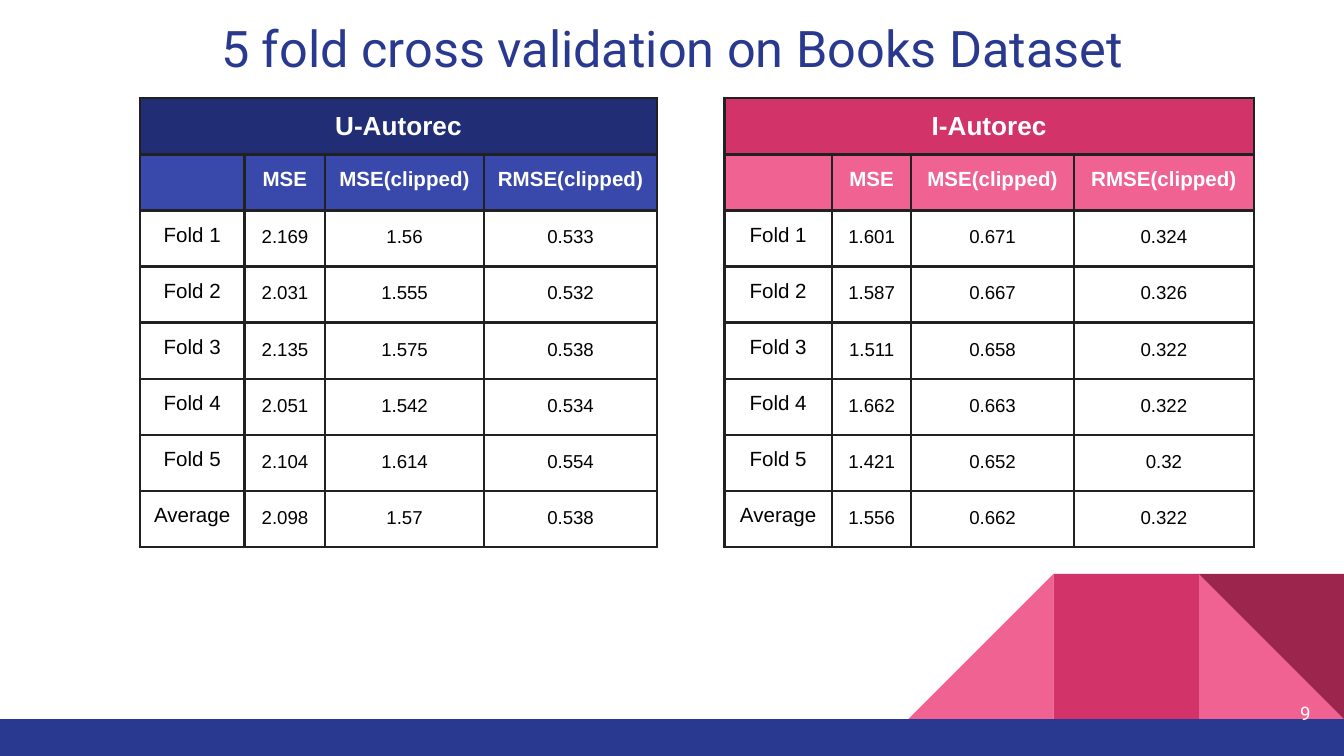
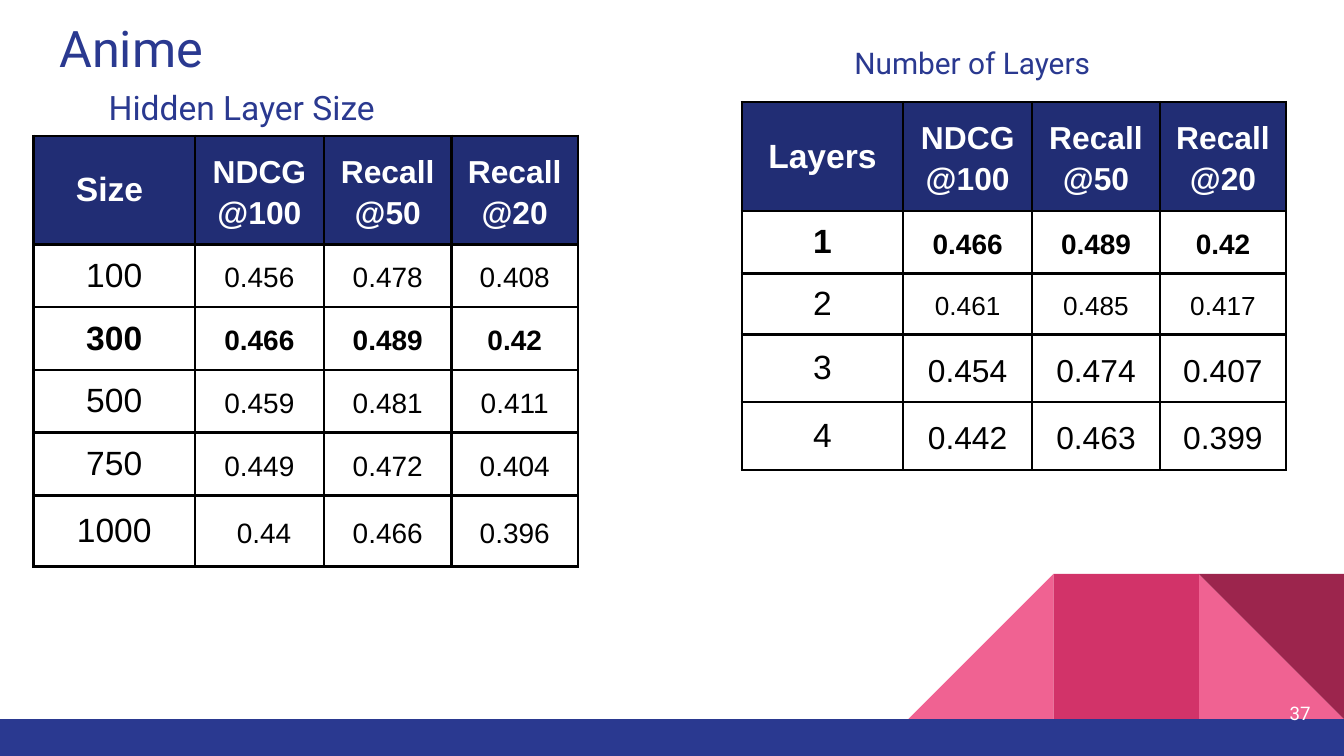
"""Build two result slides with cross validation and hyperparameter tables."""
from lxml import etree
from pptx import Presentation
from pptx.dml.color import RGBColor
from pptx.enum.shapes import MSO_SHAPE
from pptx.enum.text import MSO_ANCHOR, MSO_AUTO_SIZE, PP_ALIGN
from pptx.oxml.ns import qn
from pptx.util import Inches, Pt

TRIANGLE, RECTANGLE = MSO_SHAPE.RIGHT_TRIANGLE, MSO_SHAPE.RECTANGLE
TOP, MIDDLE = MSO_ANCHOR.TOP, MSO_ANCHOR.MIDDLE
LEFT, CENTER, RIGHT = PP_ALIGN.LEFT, PP_ALIGN.CENTER, PP_ALIGN.RIGHT
NO_AUTOFIT = MSO_AUTO_SIZE.NONE

COLORS = {
    "blue": "2A3990", "navy": "212D74", "indigo": "3949AB",
    "pink": "F06292", "rose": "D23369", "wine": "9C254D",
    "white": "FFFFFF", "black": "000000", "charcoal": "212121",
}
TITLE_FONT, TABLE_FONT = "Roboto", "Arial"
TITLE_AREA = (0.34, 0.03, 9.32, 0.66)
TITLE_ONLY = 5

FOLD_HEADINGS = ["", "MSE", "MSE(clipped)", "RMSE(clipped)"]
FOLD_LABELS = [f"Fold {number}" for number in range(1, 6)] + ["Average"]
USER_SCORES = [
    ["2.169", "1.56", "0.533"],
    ["2.031", "1.555", "0.532"],
    ["2.135", "1.575", "0.538"],
    ["2.051", "1.542", "0.534"],
    ["2.104", "1.614", "0.554"],
    ["2.098", "1.57", "0.538"],
]
ITEM_SCORES = [
    ["1.601", "0.671", "0.324"],
    ["1.587", "0.667", "0.326"],
    ["1.511", "0.658", "0.322"],
    ["1.662", "0.663", "0.322"],
    ["1.421", "0.652", "0.32"],
    ["1.556", "0.662", "0.322"],
]

RANKING_HEADINGS = ["NDCG@100", "Recall@50", "Recall@20"]
RANKING_COLUMNS = [1.2, 0.96, 0.95, 0.94]
SIZE_ROWS = [
    ["Size", *RANKING_HEADINGS],
    ["100", "0.456", "0.478", "0.408"],
    ["300", "0.466", "0.489", "0.42"],
    ["500", "0.459", "0.481", "0.411"],
    ["750", "0.449", "0.472", "0.404"],
    ["1000", "0.44", "0.466", "0.396"],
]
LAYER_ROWS = [
    ["Layers", *RANKING_HEADINGS],
    ["1", "0.466", "0.489", "0.42"],
    ["2", "0.461", "0.485", "0.417"],
    ["3", "0.454", "0.474", "0.407"],
    ["4", "0.442", "0.463", "0.399"],
]


def color(name):
    return RGBColor.from_string(COLORS[name])


def write(frame, text, size, font=TITLE_FONT, ink="blue", bold=False,
          align=LEFT, spacing=None):
    para = frame.paragraphs[0]
    para.alignment = align
    if spacing:
        para.line_spacing = spacing
    if not text:
        end = etree.SubElement(para._p, qn("a:endParaRPr"))
        end.set("sz", str(size * 100))
        return
    span = para.add_run()
    span.text = text
    span.font.size = Pt(size)
    span.font.name = font
    span.font.bold = bold
    span.font.color.rgb = color(ink)


def set_margins(item, left, top, right, bottom):
    item.margin_left, item.margin_top = Inches(left), Inches(top)
    item.margin_right, item.margin_bottom = Inches(right), Inches(bottom)


def set_borders(cell, ink):
    properties = cell._tc.get_or_add_tcPr()
    for side in ("lnL", "lnR", "lnT", "lnB"):
        line = etree.SubElement(properties, qn(f"a:{side}"), w=str(Pt(1.5)))
        fill = etree.SubElement(line, qn("a:solidFill"))
        etree.SubElement(fill, qn("a:srgbClr"), val=COLORS[ink])


def fold_style(header, subheader):
    def style(row, column):
        if row == 0:
            return {"size": 14, "bold": True, "ink": "white", "fill": header}
        if row == 1:
            return {"size": 11, "bold": True, "ink": "white", "fill": subheader}
        if column == 0:
            return {"size": 11}
        return {"size": 10, "spacing": 1.15}
    return style


def ranking_style(best_row, value_sizes, nudges):
    def style(row, column):
        label = column == 0
        inset = 0.07 if label else 0.1
        left, right = nudges.get((row, column), (0, 0))
        look = {
            "size": 18 if label else value_sizes[row],
            "bold": row in (0, best_row),
            "spacing": None if label else 1.15,
            "anchor": MIDDLE,
            "margins": (inset + left, inset, inset + right, inset),
        }
        if row == 0:
            look.update(ink="white", fill="navy")
        return look
    return style


class SlideBuilder:
    def __init__(self):
        self.deck = Presentation()
        self.deck.slide_width = Inches(10)
        self.deck.slide_height = Inches(5.625)
        self.page = None

    def start(self, title, number, align):
        self.page = self.deck.slides.add_slide(
            self.deck.slide_layouts[TITLE_ONLY])
        side, top = 1.08, 4.27
        first, second, third = (10 - side * count for count in (3, 2, 1))
        self.shape(TRIANGLE, third, top, side, side, "pink")
        corner = self.shape(TRIANGLE, first, top, side, side, "pink")
        corner._element.spPr.find(qn("a:xfrm")).set("flipH", "1")
        self.shape(RECTANGLE, second, top, side, side, "rose")
        self.shape(TRIANGLE, third, top, side, side, "wine").rotation = 180
        self.shape(RECTANGLE, 0, 5.35, 10, 0.28, "blue")
        self.title(title, align)
        self.text(number, 9.25, 5.09, 0.6, 0.43, anchor=MIDDLE,
                  size=10, ink="white", align=RIGHT)

    def shape(self, kind, left, top, width, height, fill):
        shape = self.page.shapes.add_shape(
            kind, Inches(left), Inches(top), Inches(width), Inches(height))
        shape.shadow.inherit = False
        shape.fill.solid()
        shape.fill.fore_color.rgb = color(fill)
        shape.line.fill.background()
        return shape

    def fill_frame(self, box, text, anchor=TOP, **look):
        frame = box.text_frame
        frame.word_wrap = True
        frame.auto_size = NO_AUTOFIT
        frame.vertical_anchor = anchor
        set_margins(frame, 0.1, 0.1, 0.1, 0.1)
        write(frame, text, **look)

    def title(self, text, align):
        box = self.page.shapes.title
        box.left, box.top, box.width, box.height = map(Inches, TITLE_AREA)
        self.fill_frame(box, text, size=27, align=align)
        tree = self.page.shapes._spTree
        tree.remove(box._element)
        tree.append(box._element)

    def text(self, text, left, top, width, height, **look):
        box = self.page.shapes.add_textbox(
            Inches(left), Inches(top), Inches(width), Inches(height))
        self.fill_frame(box, text, **look)

    def table(self, left, top, columns, heights, rows, style, border):
        frame = self.page.shapes.add_table(
            len(rows), len(columns), Inches(left), Inches(top),
            Inches(sum(columns)), Inches(sum(heights)))
        table = frame.table
        table.first_row = table.horz_banding = False
        for column, width in zip(table.columns, columns):
            column.width = Inches(width)
        for row, height in zip(table.rows, heights):
            row.height = Inches(height)
        for row, texts in enumerate(rows):
            for column in range(len(columns)):
                text = texts[column] if column < len(texts) else ""
                self.cell(table.cell(row, column), text, border,
                          **style(row, column))
            if len(texts) == 1:
                table.cell(row, 0).merge(table.cell(row, len(columns) - 1))

    def cell(self, cell, text, border, fill=None, anchor=TOP,
             margins=(0.1, 0.1, 0.1, 0.1), ink="black", **look):
        set_borders(cell, border)
        if fill:
            cell.fill.solid()
            cell.fill.fore_color.rgb = color(fill)
        else:
            cell.fill.background()
        cell.vertical_anchor = anchor
        set_margins(cell, *margins)
        write(cell.text_frame, text, font=TABLE_FONT, ink=ink,
              align=CENTER, **look)

    def fold_table(self, name, left, columns, scores, header, subheader):
        rows = [[name], FOLD_HEADINGS]
        rows += [[label, *values] for label, values in zip(FOLD_LABELS, scores)]
        self.table(left, 0.73, columns, [3.34 / 8] * len(rows), rows,
                   fold_style(header, subheader), "charcoal")


def main():
    builder = SlideBuilder()

    builder.start("5 fold cross validation on Books Dataset", "9", CENTER)
    builder.fold_table("U-Autorec", 1.04, [0.78, 0.6, 1.18, 1.29],
                       USER_SCORES, "navy", "indigo")
    builder.fold_table("I-Autorec", 5.39, [0.8, 0.59, 1.21, 1.34],
                       ITEM_SCORES, "rose", "pink")

    builder.start("Anime", "37", LEFT)
    builder.text("Hidden Layer Size", 0.71, 0.55, 2.77, 0.66, size=18)
    builder.text("Number of Layers", 6.26, 0.23, 3.14, 0.66, size=16)
    builder.table(0.25, 1.01, RANKING_COLUMNS,
                  [0.81, 0.46, 0.46, 0.46, 0.46, 0.53], SIZE_ROWS,
                  ranking_style(2, [17, 15, 15, 15, 15, 15],
                                {(0, 0): (0, 0.07), (5, 1): (0.07, 0)}),
                  "black")
    builder.table(5.52, 0.76, RANKING_COLUMNS,
                  [0.81, 0.46, 0.45, 0.5, 0.5], LAYER_ROWS,
                  ranking_style(1, [17, 15, 14, 17, 17], {}), "black")

    builder.deck.save("out.pptx")


if __name__ == "__main__":
    main()
